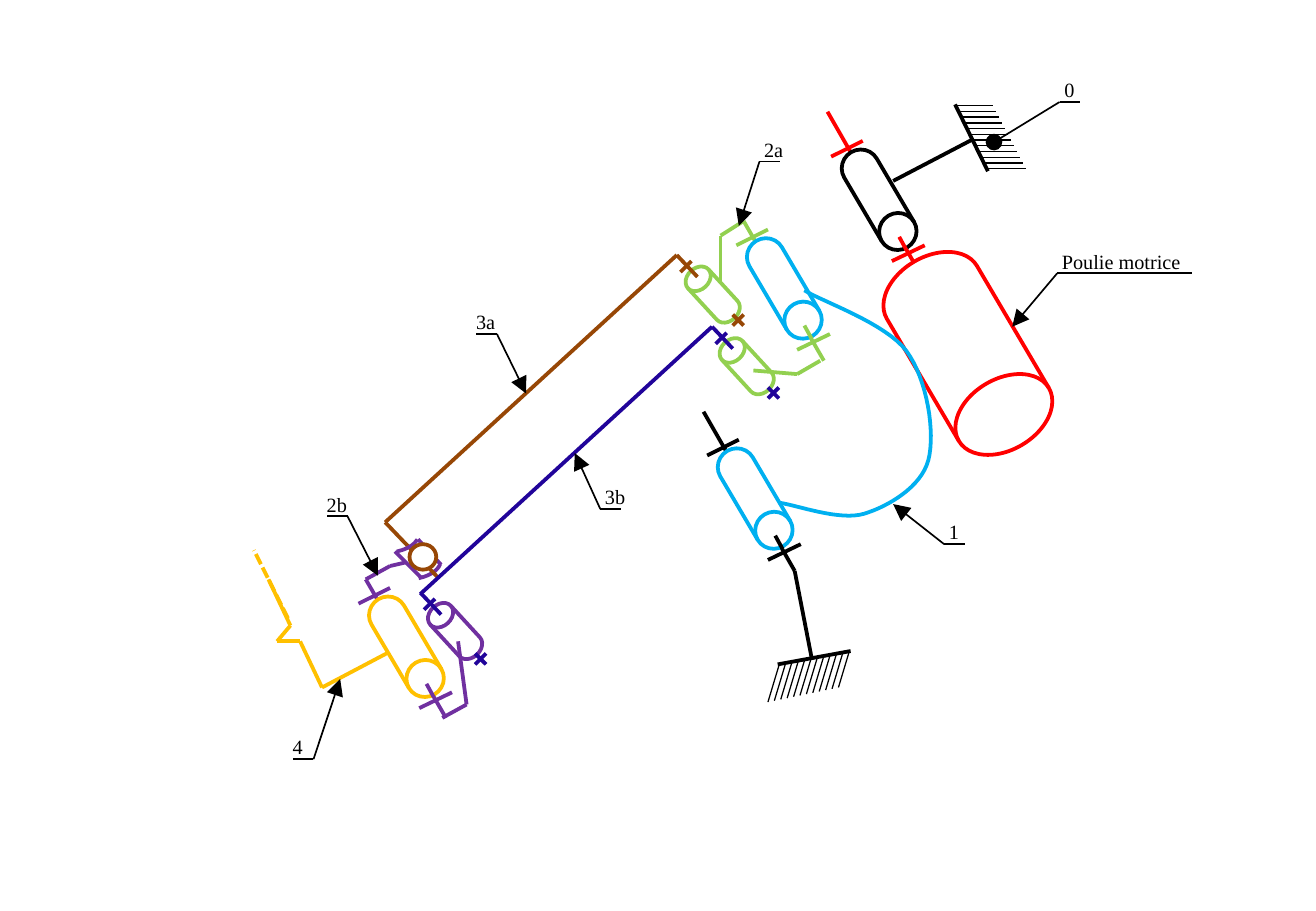
"""Draw the kinematic diagram of a two-rod linkage driven by a pulley."""
from dataclasses import dataclass
from itertools import pairwise

from lxml import etree
from pptx import Presentation, util as u
from pptx.dml.color import RGBColor
from pptx.enum import dml, shapes, text
from pptx.oxml import ns

Point = tuple[float, float]
Box = tuple[float, float, float, float]


@dataclass(frozen=True)
class Theme:
    """Colours, type and line sizes of the diagram."""
    black: str = "000000"
    white: str = "FFFFFF"
    red: str = "FF0000"
    cyan: str = "00B0F0"
    green: str = "92D050"
    purple: str = "7030A0"
    amber: str = "FFC000"
    brown: str = "974706"
    navy: str = "21049A"
    font: str = "Times New Roman"
    size: float = 12
    body: float = 2.25
    leader: float = 1
    hatch: float = 0.75


T = Theme()


@dataclass(frozen=True)
class Pivot:
    """A large revolute joint: drum corner, axis ends and colours."""
    x: float
    y: float
    axis: tuple[Point, Point]
    drum: str
    shaft: str


@dataclass(frozen=True)
class Link:
    """A chain of straight bars."""
    color: str
    points: tuple[Point, ...]


@dataclass(frozen=True)
class Hatch:
    """A row of ground strokes from first to last, each along the slant."""
    first: Point
    last: Point
    slant: Point
    count: int = 12


@dataclass(frozen=True)
class Callout:
    """A part label on a shelf with a leader to its tip."""
    label: str
    elbow: Point
    tip: Point
    shelf: float = 0.17
    width: float = 0.38
    end: str = "triangle"


PIVOT_0 = Pivot(6.78, 1.49, ((6.81, 0.92), (8, 3)), T.black, T.red)
PIVOTS = [
    Pivot(5.76, 3.95, ((5.79, 3.39), (6.54, 4.7)), T.cyan, T.black),
    Pivot(6, 2.22, ((6.12, 1.82), (6.78, 2.97)), T.cyan, T.green),
    Pivot(2.89, 5.17, ((3.01, 4.77), (3.67, 5.91)), T.amber, T.purple),
]
PINS = [(5.6, 2.31, T.green), (5.88, 2.9, T.green), (3.48, 5.08, T.purple)]
LINKS = [
    Link(T.black, ((7.35, 1.49), (8, 1.15))),
    Link(T.black, ((7.86, 0.86), (8.13, 1.41))),
    Link(T.black, ((6.54, 4.7), (6.68, 5.42))),
    Link(T.black, ((7, 5.36), (6.4, 5.47))),
    Link(T.green, ((6.12, 1.82), (5.93, 1.94), (5.93, 2.34))),
    Link(T.green, ((6.75, 2.97), (6.56, 3.08), (6.2, 3.05))),
    Link(T.purple, ((3.34, 4.63), (3.21, 4.66), (3.01, 4.77))),
    Link(T.purple, ((3.77, 5.28), (3.84, 5.8), (3.64, 5.91))),
    Link(T.amber, ((3.2, 5.37), (2.65, 5.66), (2.47, 5.28), (2.28, 5.28),
                   (2.39, 5.15), (2.21, 4.77))),
    Link(T.purple, ((3.47, 4.76), (3.25, 4.54))),
    Link(T.purple, ((3.63, 4.65), (3.44, 4.44))),
    Link(T.brown, ((5.57, 2.1), (3.17, 4.3), (3.6, 4.75))),
    Link(T.navy, ((5.86, 2.69), (3.46, 4.89))),
]
ROD_ENDS = [(5.57, 2.1, T.brown), (3.46, 4.88, T.navy), (5.86, 2.69, T.navy)]
CROSSES = [(6.03, 2.59, T.brown), (3.91, 5.38, T.navy), (6.32, 3.19, T.navy)]
HATCHES = [
    Hatch((7.86, 0.87), (8.13, 1.39), (0.31, 0)),
    Hatch((6.99, 5.36), (6.41, 5.48), (-0.09, 0.3)),
]
ARM = [(6.62, 2.39), (6.76, 2.48), (7.29, 2.66), (7.46, 2.89), (7.63, 3.12),
       (7.7, 3.56), (7.64, 3.79), (7.58, 4.01), (7.31, 4.17), (7.11, 4.23),
       (6.91, 4.29), (6.56, 4.16), (6.42, 4.14)]
CALLOUTS = [
    Callout("0", (8.72, 0.84), (8.18, 1.17), width=0.22, end="oval"),
    Callout("Poulie motrice", (8.7, 2.25), (8.33, 2.69), 1.11, 1.18),
    Callout("1", (7.77, 4.48), (7.35, 4.15), width=0.22),
    Callout("2a", (6.25, 1.33), (6.08, 1.86)),
    Callout("4", (2.58, 6.25), (2.8, 5.59), -0.17),
    Callout("3a", (4.09, 2.75), (4.33, 3.24), -0.17),
    Callout("2b", (2.86, 4.25), (3.11, 4.74), -0.17),
    Callout("3b", (4.94, 4.19), (4.73, 3.73)),
]


def cm(inches: float) -> u.Length:
    """Convert a drawing length in inches."""
    return u.Cm(inches * 2.54)


def style_line(line, color: str, width: float) -> None:
    """Set the colour and width of a line."""
    line.color.rgb = RGBColor.from_string(color)
    line.width = u.Pt(width)


def draw_line(s, a: Point, b: Point, color: str, width: float = T.body,
              end: str = "", dash=None) -> None:
    """Draw a straight line, with an optional end mark or dash."""
    cn = s.shapes.add_connector(shapes.MSO_CONNECTOR.STRAIGHT, *map(cm, a + b))
    style_line(cn.line, color, width)
    if dash is not None:
        cn.line.dash_style = dash
    spPr = cn.element.spPr
    if end:
        etree.SubElement(spPr.get_or_add_ln(), ns.qn("a:tailEnd"),
                         type=end, w="lg", len="lg")
    etree.SubElement(spPr, ns.qn("a:effectLst"))


def draw_shape(s, kind, box: Box, color: str, rotation: float = 0,
               filled: bool = True):
    """Draw an outlined preset shape."""
    sp = s.shapes.add_shape(kind, *map(cm, box))
    sp.shadow.inherit = False
    sp.rotation = rotation
    if filled:
        sp.fill.solid()
        sp.fill.fore_color.rgb = RGBColor.from_string(T.white)
    else:
        sp.fill.background()
    style_line(sp.line, color, T.body)
    return sp


def draw_drum(s, box: Box, color: str, rotation: float = 59.5) -> None:
    """Draw a rotated cylinder."""
    draw_shape(s, shapes.MSO_SHAPE.FLOWCHART_DIRECT_ACCESS_STORAGE, box, color, rotation)


def draw_arc(s, x: float, y: float, start: float) -> None:
    """Draw a curved end of the upper purple pin."""
    sp = draw_shape(s, shapes.MSO_SHAPE.ARC, (x, y, 0.56, 0.32), T.purple, filled=False)
    sp.adjustments[0], sp.adjustments[1] = start, 34.45


def draw_strokes(s, x: float, y: float, color: str, *strokes: Box) -> None:
    """Draw strokes given as offsets from one point."""
    for x1, y1, x2, y2 in strokes:
        draw_line(s, (x + x1, y + y1), (x + x2, y + y2), color)


def draw_pivot(s, p: Pivot) -> None:
    """Draw an axis, its drum, both stop bars and the shaft stub."""
    draw_line(s, *p.axis, p.shaft)
    draw_drum(s, (p.x, p.y, 0.91, 0.31), p.drum)
    draw_strokes(s, p.x, p.y, p.shaft, (0.06, -0.2, 0.32, -0.33),
                 (0.56, 0.66, 0.83, 0.53), (0.62, 0.46, 0.68, 0.57))


def draw_hatch(s, h: Hatch) -> None:
    """Draw evenly spaced ground strokes."""
    for i in range(h.count):
        t = i / (h.count - 1)
        x, y = (a + (b - a) * t for a, b in zip(h.first, h.last))
        draw_line(s, (x, y), (x + h.slant[0], y + h.slant[1]), T.black, T.hatch)


def draw_curve(s, points: list[Point], color: str, steps: int = 16) -> None:
    """Draw joined cubic curves as one open outline."""
    outline = []
    for i in range(0, len(points) - 1, 3):
        for k in range(1, steps + 1):
            t = k / steps
            weights = ((1 - t) ** 3, 3 * t * (1 - t) ** 2, 3 * t * t * (1 - t), t ** 3)
            outline.append(tuple(cm(sum(w * p[axis] for w, p in zip(weights, points[i:i + 4])))
                                 for axis in (0, 1)))
    fb = s.shapes.build_freeform(*map(cm, points[0]))
    fb.add_line_segments(outline, close=False)
    sp = fb.convert_to_shape()
    sp.shadow.inherit = False
    sp.fill.background()
    style_line(sp.line, color, T.body)


def draw_callout(s, c: Callout) -> None:
    """Draw a leader, its shelf and the label above it."""
    x, y = c.elbow
    draw_line(s, c.elbow, c.tip, T.black, T.leader, c.end)
    draw_line(s, c.elbow, (x + c.shelf, y), T.black, T.leader)
    left = x - 0.06 if c.shelf > 0 else x + c.shelf - 0.1
    tf = s.shapes.add_textbox(*map(cm, (left, y - 0.25, c.width, 0.36))).text_frame
    tf.word_wrap = True
    tf.text = c.label
    p = tf.paragraphs[0]
    p.alignment = text.PP_ALIGN.JUSTIFY
    font = p.runs[0].font
    font.name, font.size = T.font, u.Pt(T.size)
    font.color.rgb = RGBColor.from_string(T.black)


def main() -> None:
    """Build and save the slide."""
    prs = Presentation()
    prs.slide_width, prs.slide_height = cm(10.83), cm(7.5)
    s = prs.slides.add_slide(prs.slide_layouts[6])
    draw_arc(s, 3.07, 4.45, 4.13)
    draw_pivot(s, PIVOT_0)
    draw_drum(s, (7.09, 2.48, 1.75, 0.86), T.red)
    for pivot in PIVOTS:
        draw_pivot(s, pivot)
    for x, y, color in PINS:
        draw_drum(s, (x, y, 0.53, 0.23), color, 227.4)
    draw_curve(s, ARM, T.cyan)
    for link in LINKS:
        for a, b in pairwise(link.points):
            draw_line(s, a, b, link.color)
    draw_line(s, (2.37, 5.09), (2.09, 4.53), T.amber, dash=dml.MSO_LINE.SQUARE_DOT)
    for x, y, color in ROD_ENDS:
        draw_strokes(s, x, y, color, (0.17, 0.18, 0, 0), (0.12, 0.05, 0.03, 0.14))
    for x, y, color in CROSSES:
        draw_strokes(s, x, y, color, (0.09, 0.09, 0, 0), (0.09, 0, 0, 0.09))
    for hatch in HATCHES:
        draw_hatch(s, hatch)
    for callout in CALLOUTS:
        draw_callout(s, callout)
    draw_arc(s, 2.89, 4.23, 6.61)
    draw_shape(s, shapes.MSO_SHAPE.OVAL, (3.37, 4.48, 0.22, 0.21), T.brown)
    prs.save("out.pptx")


if __name__ == "__main__":
    main()
